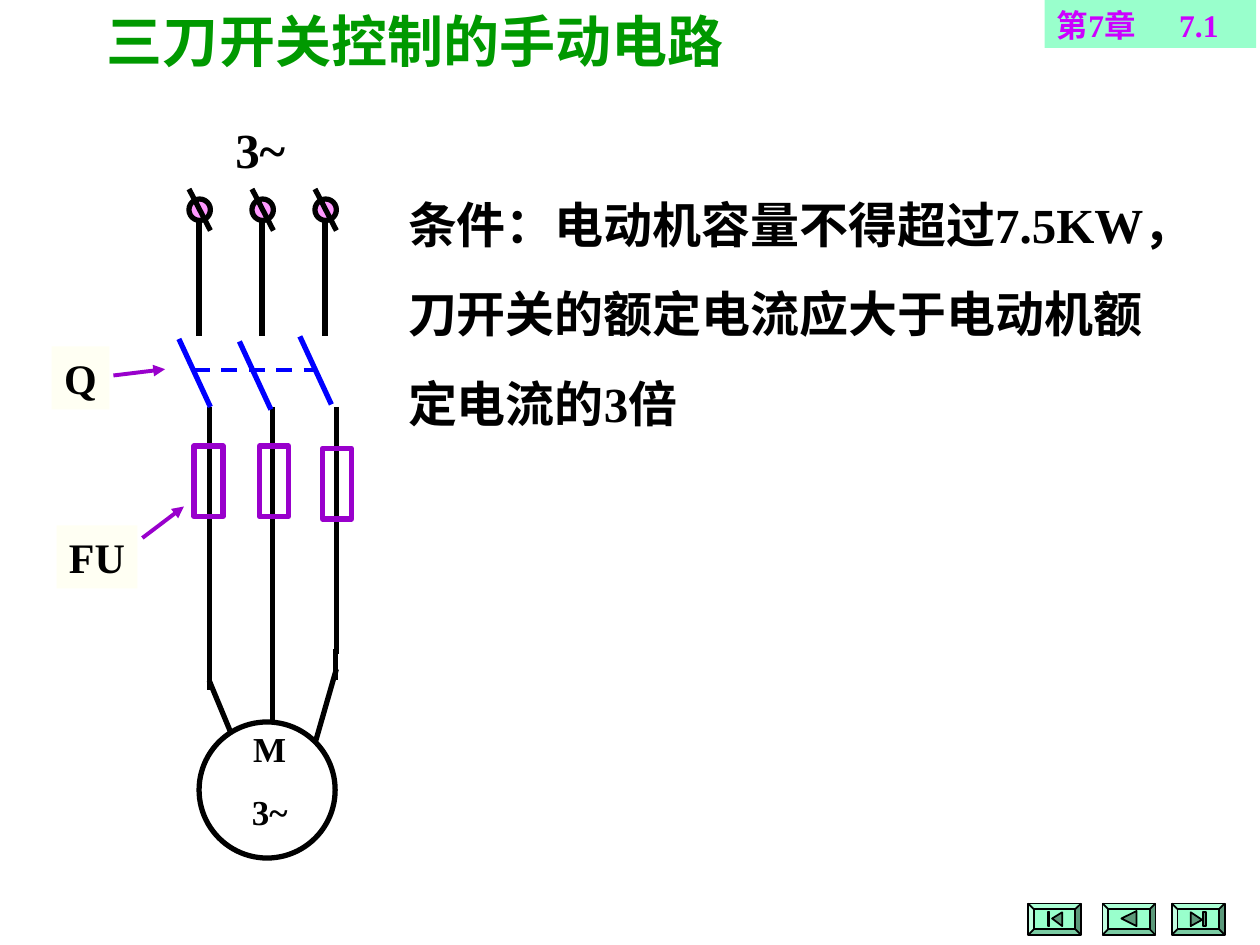
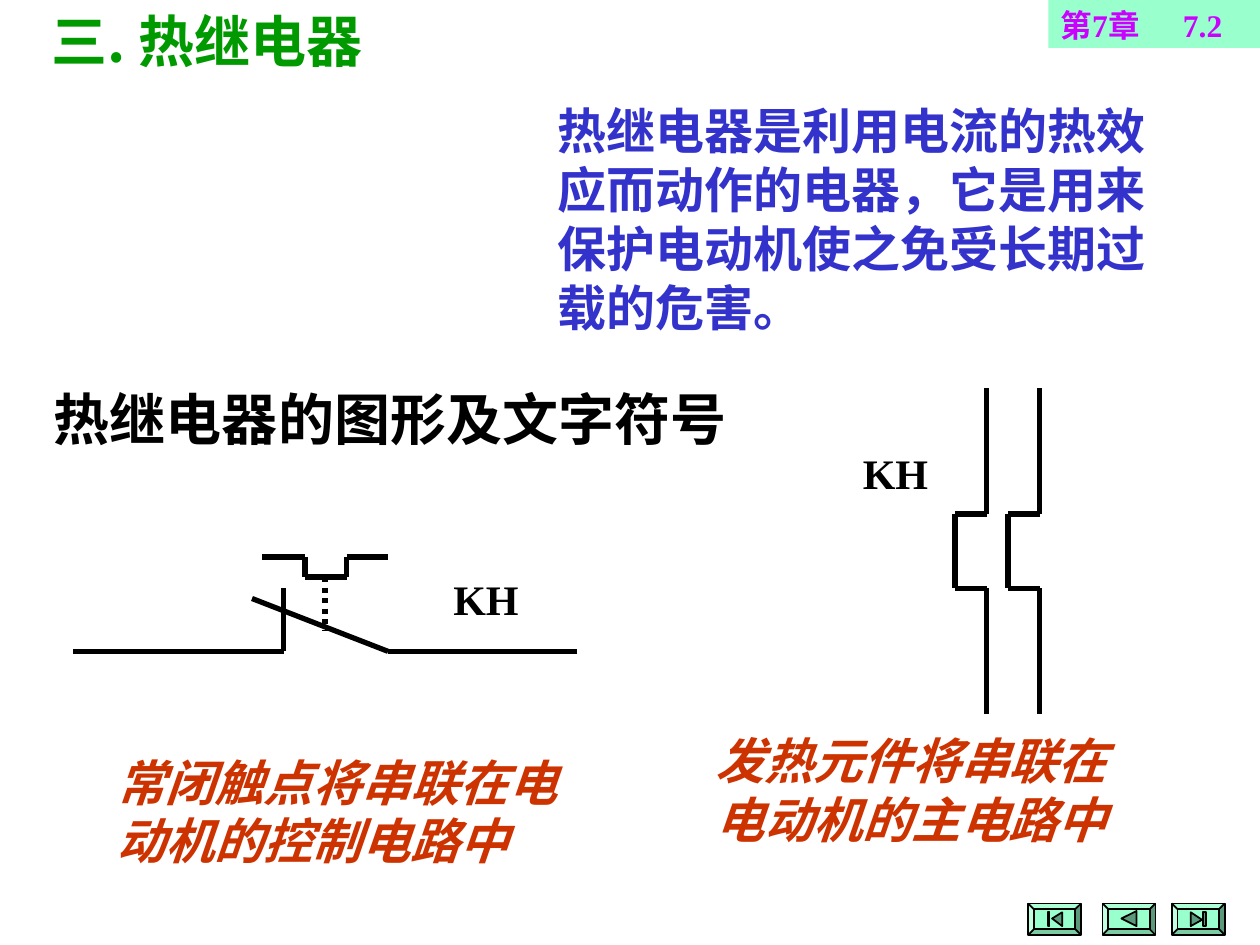
from itertools import pairwise

from lxml import etree
from pptx import Presentation
from pptx import util as u
from pptx.dml.color import RGBColor
from pptx.enum import dml, lang, shapes, text
from pptx.oxml.ns import qn

PX = 9144  # 100 px to the inch
SERIF, SANS = "Times New Roman", "Noto Sans CJK SC"
BLACK, GREEN, BLUE, INDIGO = "000000", "009900", "0000FF", "3333CC"
PURPLE, MAGENTA, PINK, RUST = "9900CC", "CC00FF", "FF99FF", "CC3300"
MINT, DARK_MINT, CREAM = "99FFCC", "5C997A", "FFFFF3"
colour = RGBColor.from_string


def write(slide, box, *paragraphs, size=28, ink=BLACK, font=SERIF, lead="", italic=False,
          fill=None, center=False, middle=False, wrap=True, gap=0):
    """Add bold text; lead is a first run in the serif font, gap is between paragraphs."""
    place = [n * PX for n in box]
    if fill:
        shape = slide.shapes.add_shape(shapes.MSO_SHAPE.RECTANGLE, *place)
        shape.shadow.inherit = False
        shape.fill.solid()
        shape.fill.fore_color.rgb = colour(fill)
        shape.line.fill.background()
    else:
        shape = slide.shapes.add_textbox(*place)
    frame = shape.text_frame
    frame.word_wrap = wrap
    frame.vertical_anchor = text.MSO_ANCHOR.MIDDLE if middle else text.MSO_ANCHOR.TOP
    for index, content in enumerate(paragraphs):
        paragraph = frame.add_paragraph() if index else frame.paragraphs[0]
        paragraph.alignment = text.PP_ALIGN.CENTER if center else text.PP_ALIGN.LEFT
        if index:
            paragraph.space_before = u.Pt(gap)
        for part, name in ((lead, SERIF), (content, font)):
            if part:
                run = paragraph.add_run()
                run.text = part
                run.font.name, run.font.size = name, u.Pt(size)
                run.font.bold, run.font.italic = True, italic
                run.font.color.rgb = colour(ink)
                run.font.language_id = lang.MSO_LANGUAGE_ID.SIMPLIFIED_CHINESE
    return shape


def draw(slide, *points, ink=BLACK, width=3, dash=None, arrow=False):
    """Join the points with straight connectors."""
    for start, end in pairwise(points):
        line = slide.shapes.add_connector(
            shapes.MSO_CONNECTOR.STRAIGHT, *(n * PX for n in start + end))
        line.line.color.rgb = colour(ink)
        line.line.width = u.Pt(width)
        if dash:
            line.line.dash_style = dash
        properties = line._element.spPr
        if arrow:
            etree.SubElement(properties.find(qn("a:ln")), qn("a:tailEnd"), type="triangle")
        etree.SubElement(properties, qn("a:effectLst"))


presentation = Presentation()
presentation.slide_width, presentation.slide_height = 1000 * PX, 750 * PX

# Shared parts: title, chapter tag, navigation buttons
NAVIGATION = [
    (816, [[(835, 729), (843, 724), (843, 735)],
           [(832, 724), (833, 724), (833, 735), (832, 735)]]),
    (875, [[(890, 729), (902, 723), (902, 735)]]),
    (930, [[(954, 730), (945, 735), (945, 724)],
           [(955, 724), (957, 724), (957, 735), (955, 735)]]),
]
slides = []
for lead, title, title_box, chapter, tag_left in [
    ("三刀", "开关控制的手动电路", (75, 0, 598, 64), "第7章\t7.1", 829),
    ("三", ". 热继电器", (31, 0, 342, 64), "第7章\t7.2", 832),
]:
    slide = presentation.slides.add_slide(presentation.slide_layouts[6])
    slides.append(slide)
    write(slide, title_box, title, lead=lead, size=32, ink=GREEN, font=SANS)
    tag = write(slide, (tag_left, 0, 168, 38), chapter, size=18, ink=MAGENTA, fill=MINT)
    tab_list = etree.SubElement(
        tag.text_frame.paragraphs[0]._p.get_or_add_pPr(), qn("a:tabLst"))
    etree.SubElement(tab_list, qn("a:tab"), pos=str(97 * PX), algn="l")

    for left, icon in NAVIGATION:
        button = slide.shapes.add_shape(
            shapes.MSO_SHAPE.BEVEL, left * PX, 717 * PX, 42 * PX, 25 * PX)
        button.adjustments[0] = 0.18
        parts = [(button, MINT)]
        for outline in icon:
            builder = slide.shapes.build_freeform(*outline[0], scale=PX)
            builder.add_line_segments(outline[1:], close=True)
            parts.append((builder.convert_to_shape(), DARK_MINT))
        for shape, fill in parts:
            shape.shadow.inherit = False
            shape.fill.solid()
            shape.fill.fore_color.rgb = colour(fill)
            shape.line.color.rgb = colour(BLACK)
            shape.line.width = u.Pt(1)

circuit, relay = slides

# Slide 1: supply terminals, fuses and motor outline
OVAL, BOX = shapes.MSO_SHAPE.OVAL, shapes.MSO_SHAPE.RECTANGLE
outlines = [(OVAL, (158, 573, 108, 108), None, BLACK)]
outlines += [(OVAL, (left, 158, 17, 17), PINK, BLACK) for left in (150, 200, 250)]
fuses = [(BOX, (left, top, 23, 56), None, PURPLE)
         for left, top in ((154, 354), (206, 354), (256, 356))]

# Wires run below the fuses
for left in (150, 200, 250):
    draw(circuit, (left + 8, 175), (left + 8, 267))
draw(circuit, (166, 323), (166, 548))
draw(circuit, (166, 540), (183, 581))
draw(circuit, (216, 323), (216, 573))
draw(circuit, (267, 323), (267, 519))
draw(circuit, (266, 515), (266, 540))
draw(circuit, (267, 531), (250, 590))

for kind, box, fill, ink in outlines + fuses:
    shape = circuit.shapes.add_shape(kind, *(n * PX for n in box))
    shape.shadow.inherit = False
    if fill:
        shape.fill.solid()
        shape.fill.fore_color.rgb = colour(fill)
    else:
        shape.fill.background()
    shape.line.color.rgb = colour(ink)
    shape.line.width = u.Pt(3)
for left in (150, 200, 250):
    draw(circuit, (left, 150), (left + 17, 183))

# Knife switch
for left, top in ((142, 269), (190, 271), (238, 267)):
    draw(circuit, (left, top), (left + 25, top + 54), ink=BLUE)
draw(circuit, (154, 294), (250, 294), ink=BLUE, width=2.25, dash=dml.MSO_LINE.DASH)

# Labels and their arrows
write(circuit, (167, 90, 79, 57), "3~", center=True, middle=True)
write(circuit, (175, 572, 78, 94), "M", "3~", size=20, center=True, middle=True, gap=12.5)
for label, box in (("Q", (41, 275, 46, 50)), ("FU", (45, 417, 64, 50))):
    write(circuit, box, label, size=24, fill=CREAM, center=True, middle=True, wrap=False)
draw(circuit, (90, 298), (131, 293), ink=PURPLE, width=2.25, arrow=True)
draw(circuit, (113, 427), (146, 402), ink=PURPLE, width=2.25, arrow=True)

# Condition
write(circuit, (314, 149, 661, 199), "条件：电动机容量不得超过7.5KW，",
      "刀开关的额定电流应大于电动机额", "定电流的3倍", middle=True, wrap=False, gap=17.5)

# Slide 2: definition, heading and captions
write(relay, (433, 75, 517, 197),
      "热继电器是利用电流的热效应而动作的电器，它是用来保护电动机使之免受长期过载的危害。",
      ink=INDIGO)
write(relay, (33, 300, 642, 64), "热继电器的图形及文字符号", size=32)
write(relay, (558, 575, 367, 104), "发热元件将串联在电动机的主电路中", ink=RUST, italic=True)
write(relay, (83, 592, 392, 104), "常闭触点将串联在电动机的控制电路中", ink=RUST, italic=True)
for left, top in ((675, 350), (350, 450)):
    write(relay, (left, top, 83, 50), "KH", size=24)

# Heating elements
for x in (783, 825):
    draw(relay, (x, 308), (x, 408), (x - 25, 408), (x - 25, 467), (x, 467), (x, 567))

# Normally closed contact
draw(relay, (58, 517), (225, 517), (225, 467))
draw(relay, (458, 517), (308, 517), (200, 475))
draw(relay, (208, 442), (242, 442), (242, 458), (275, 458), (275, 442), (308, 442))
draw(relay, (258, 458), (258, 500), dash=dml.MSO_LINE.ROUND_DOT)

presentation.save("out.pptx")
